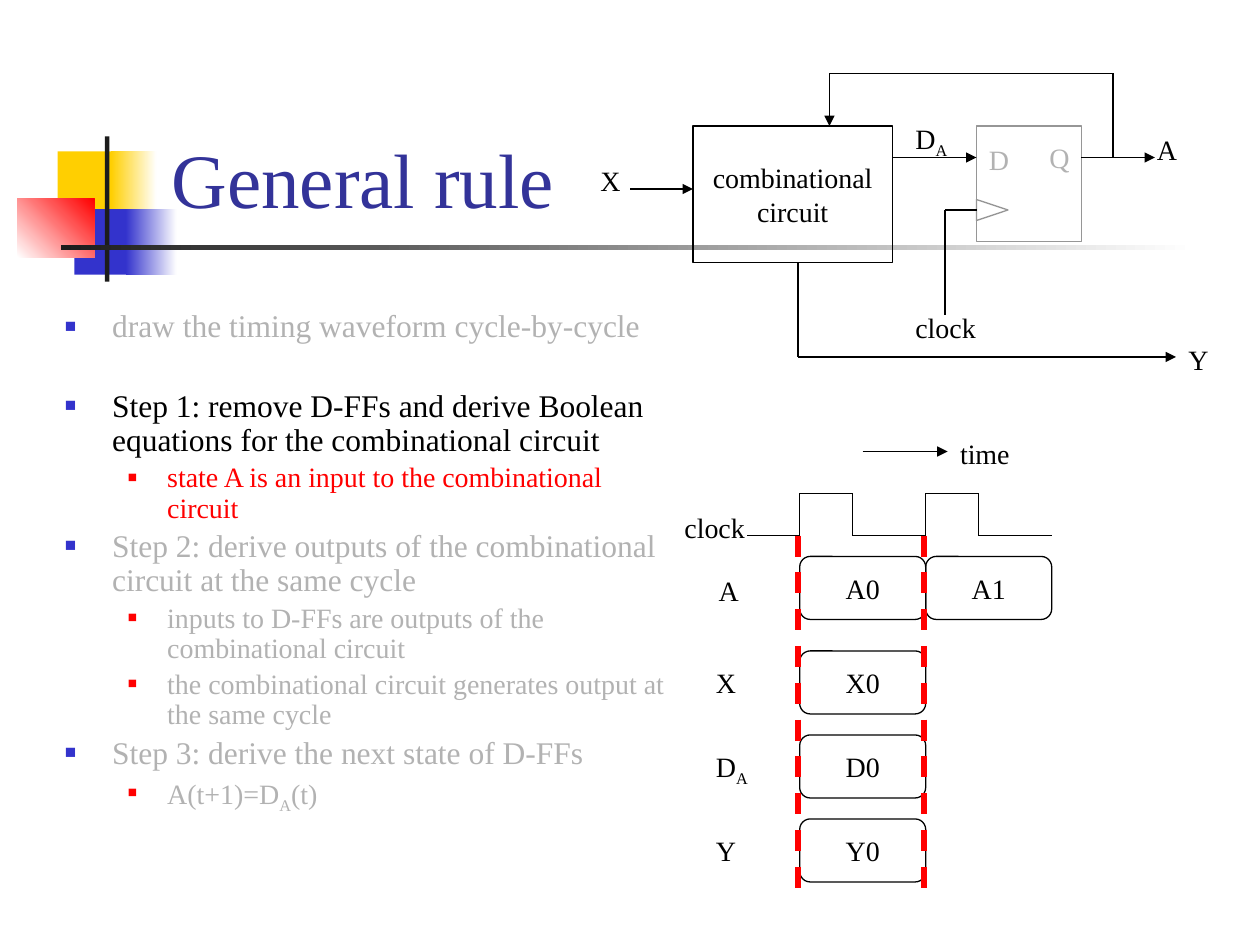
from itertools import pairwise

from lxml.etree import SubElement
from pptx import Presentation
from pptx.dml.color import RGBColor
from pptx.enum.dml import MSO_LINE
from pptx.enum.shapes import MSO_CONNECTOR, MSO_SHAPE
from pptx.enum.text import MSO_ANCHOR, PP_ALIGN
from pptx.oxml.ns import qn
from pptx.util import Pt

BLACK, GRAY, RED, BLUE = "000000", "B2B2B2", "FF0000", "3333CC"
WHITE, YELLOW, DARK = "FFFFFF", "FFCF01", "1C1C1C"

DECORATION = [
    ((33, 86.5, 35, 37.5), [YELLOW], 0),
    ((63.5, 86.5, 26, 37.5), [YELLOW, WHITE], 0),
    ((42.5, 119.5, 33, 37.5), [BLUE], 0),
    ((72, 119.5, 29, 37.5), [BLUE, WHITE], 0),
    ((9.8, 113.7, 44.2, 33.3), [WHITE, RED], 45),
    ((60, 78, 2.5, 83), [DARK], 0),
    ((35, 140.2, 648, 2.5), [DARK, WHITE], 0),
]

BULLETS = [
    (0, GRAY, 3.6, "draw the timing waveform cycle-by-cycle"),
    (0, BLACK, 26, "Step 1: remove D-FFs and derive Boolean equations for the combinational circuit"),
    (1, RED, 3.2, "state A is an input to the combinational circuit"),
    (0, GRAY, 3.6, "Step 2: derive outputs of the combinational circuit at the same cycle"),
    (1, GRAY, 3.2, "inputs to D-FFs are outputs of the combinational circuit"),
    (1, GRAY, 3.2, "the combinational circuit generates output at the same cycle"),
    (0, GRAY, 3.6, "Step 3: derive the next state of D-FFs"),
    (1, GRAY, 3.2, "A(t+1)=D_A_(t)"),
]
LEVELS = [
    {"size": 18, "margin": 27, "indent": -27, "color": BLUE, "scale": 60},
    {"size": 16, "margin": 58.5, "indent": -22.5, "color": RED, "scale": 55},
]

LABELS = [
    ("X", 336, 90, 26, BLACK),
    ("D_A_", 516, 66, 34, BLACK),
    ("D", 558, 78, 26, GRAY),
    ("Q", 592.5, 77, 26, GRAY),
    ("A", 654, 72, 26, BLACK),
    ("clock", 516, 174, 49, BLACK),
    ("Y", 672, 192, 26, BLACK),
    ("time", 541.5, 246, 43, BLACK),
    ("clock", 384, 288, 49, BLACK),
    ("A", 403.5, 324, 26, BLACK),
    ("X", 402, 376.5, 26, BLACK),
    ("D_A_", 402, 425, 34, BLACK),
    ("Y", 402, 473, 26, BLACK),
]

CIRCUIT_WIRES = [
    ([(360, 108), (396, 108)], True),
    ([(510, 90), (558, 90)], True),
    ([(558, 120), (540, 120), (540, 180)], False),
    ([(618, 90), (660, 90)], True),
    ([(636, 90), (636, 42), (474, 42), (474, 72)], True),
    ([(456, 150), (456, 204), (672, 204)], True),
]

CYCLE_LEFT, CYCLE = 457, 72
STATES = [("A0", 0, 318), ("A1", 1, 318), ("X0", 0, 372), ("D0", 0, 420), ("Y0", 0, 468)]


def rgb(color):
    return RGBColor.from_string(color)


def apply(target, values):
    for name, value in values.items():
        setattr(target, name, value)


def points(*lengths):
    return [Pt(length) for length in lengths]


def write(paragraph, text, size, color):
    for index, piece in enumerate(text.split("_")):
        if not piece:
            continue
        run = paragraph.add_run()
        run.text = piece
        apply(run.font, {"name": "Times New Roman", "size": Pt(size)})
        run.font.color.rgb = rgb(color)
        if index % 2:
            run._r.get_or_add_rPr().set("baseline", "-25000")


def add_label(slide, text, box, size=16, color=BLACK, anchor=MSO_ANCHOR.TOP):
    frame = slide.shapes.add_textbox(*points(*box)).text_frame
    apply(frame, {"word_wrap": False, "vertical_anchor": anchor})
    write(frame.paragraphs[0], text, size, color)


def add_bullet(paragraph, level):
    properties = paragraph._p.get_or_add_pPr()
    properties.set("marL", str(Pt(level["margin"])))
    properties.set("indent", str(Pt(level["indent"])))
    bullet_color = SubElement(properties, qn("a:buClr"))
    SubElement(bullet_color, qn("a:srgbClr"), val=level["color"])
    SubElement(properties, qn("a:buSzPct"), val=str(level["scale"] * 1000))
    SubElement(properties, qn("a:buFont"), typeface="Times New Roman")
    SubElement(properties, qn("a:buChar"), char="■")


def add_body(slide):
    frame = slide.shapes.add_textbox(*points(30, 174, 366, 324)).text_frame
    frame.word_wrap = True
    for index, (depth, color, gap, text) in enumerate(BULLETS):
        paragraph = frame.add_paragraph() if index else frame.paragraphs[0]
        apply(paragraph, {"level": depth, "line_spacing": 0.9, "space_before": Pt(gap)})
        add_bullet(paragraph, LEVELS[depth])
        write(paragraph, text, LEVELS[depth]["size"], color)


def add_block(slide, box, colors, angle):
    shape = slide.shapes.add_shape(MSO_SHAPE.RECTANGLE, *points(*box))
    shape.shadow.inherit = False
    shape.line.fill.background()
    if len(colors) == 1:
        shape.fill.solid()
        shape.fill.fore_color.rgb = rgb(colors[0])
        return
    shape.fill.gradient()
    shape.fill.gradient_angle = angle
    for stop, color in zip(shape.fill.gradient_stops, colors):
        stop.color.rgb = rgb(color)


def add_outline(slide, kind, box, lines=(), color=BLACK, rotation=0):
    shape = slide.shapes.add_shape(kind, *points(*box))
    shape.shadow.inherit = False
    shape.fill.background()
    shape.line.color.rgb = rgb(color)
    shape.line.width = Pt(0.75)
    shape.rotation = rotation
    frame = shape.text_frame
    apply(frame, {"word_wrap": False, "vertical_anchor": MSO_ANCHOR.MIDDLE})
    for index, text in enumerate(lines):
        paragraph = frame.add_paragraph() if index else frame.paragraphs[0]
        paragraph.alignment = PP_ALIGN.CENTER
        write(paragraph, text, 16, BLACK)


def add_wire(slide, corners, arrow=False, color=BLACK, width=0.75, dash=None):
    for start, end in pairwise(corners):
        connector = slide.shapes.add_connector(MSO_CONNECTOR.STRAIGHT, *points(*start, *end))
        connector.line.color.rgb = rgb(color)
        apply(connector.line, {"width": Pt(width), "dash_style": dash})
        SubElement(connector._element.spPr, qn("a:effectLst"))
    if arrow:
        SubElement(connector.line._get_or_add_ln(), qn("a:tailEnd"), type="triangle")


def add_circuit(slide):
    add_outline(slide, MSO_SHAPE.RECTANGLE, (396, 72, 114, 78), ["combinational", "circuit"])
    add_outline(slide, MSO_SHAPE.RECTANGLE, (558, 72, 60, 66), color="969696")
    add_outline(slide, MSO_SHAPE.ISOSCELES_TRIANGLE, (561, 111, 12, 18), color="969696", rotation=90)
    for corners, arrow in CIRCUIT_WIRES:
        add_wire(slide, corners, arrow)


def add_timing(slide):
    low, high = 306, 282
    add_wire(slide, [(493, 258), (541.5, 258)], arrow=True)
    waveform = [(427, low)]
    for cycle in range(2):
        rise = CYCLE_LEFT + cycle * CYCLE
        fall = rise + 30
        waveform += [(rise, low), (rise, high), (fall, high), (fall, low)]
    add_wire(slide, waveform + [(CYCLE_LEFT + 2 * CYCLE, low)])
    for text, cycle, top in STATES:
        box = (CYCLE_LEFT + cycle * CYCLE, top, CYCLE, 36)
        add_outline(slide, MSO_SHAPE.ROUNDED_RECTANGLE, box, [text])
    for edge in (456, 456 + CYCLE):
        add_wire(slide, [(edge, low), (edge, 510)], color=RED, width=3, dash=MSO_LINE.DASH)


def main():
    presentation = Presentation()
    apply(presentation, {"slide_width": Pt(720), "slide_height": Pt(540)})
    slide = presentation.slides.add_slide(presentation.slide_layouts[6])
    for box, colors, angle in DECORATION:
        add_block(slide, box, colors, angle)
    add_label(slide, "General rule", (91, 16.5, 613, 115), 44, "333399", MSO_ANCHOR.BOTTOM)
    add_body(slide)
    add_circuit(slide)
    add_timing(slide)
    for text, left, top, width, color in LABELS:
        add_label(slide, text, (left, top, width, 26.5), color=color)
    presentation.save("out.pptx")


if __name__ == "__main__":
    main()
